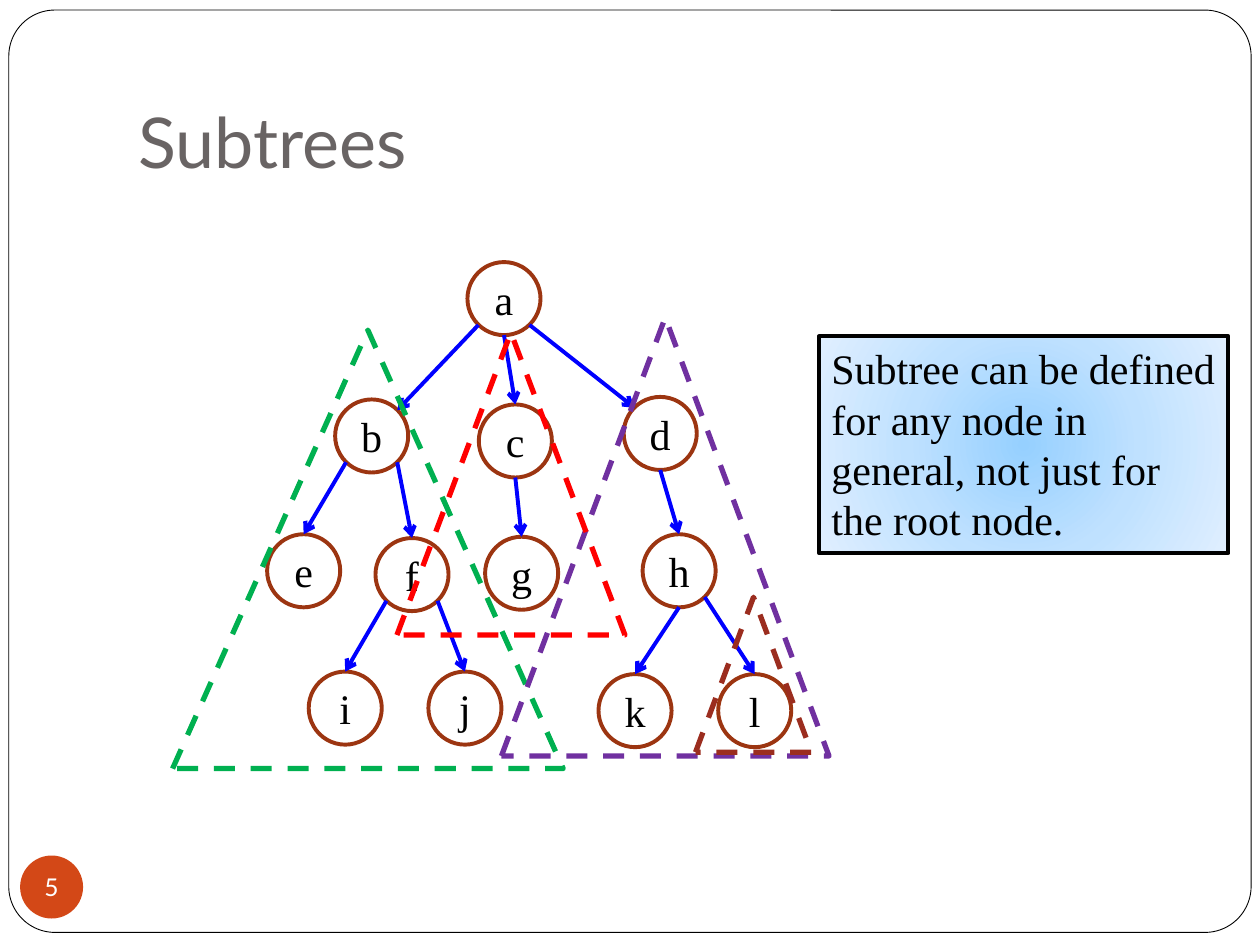
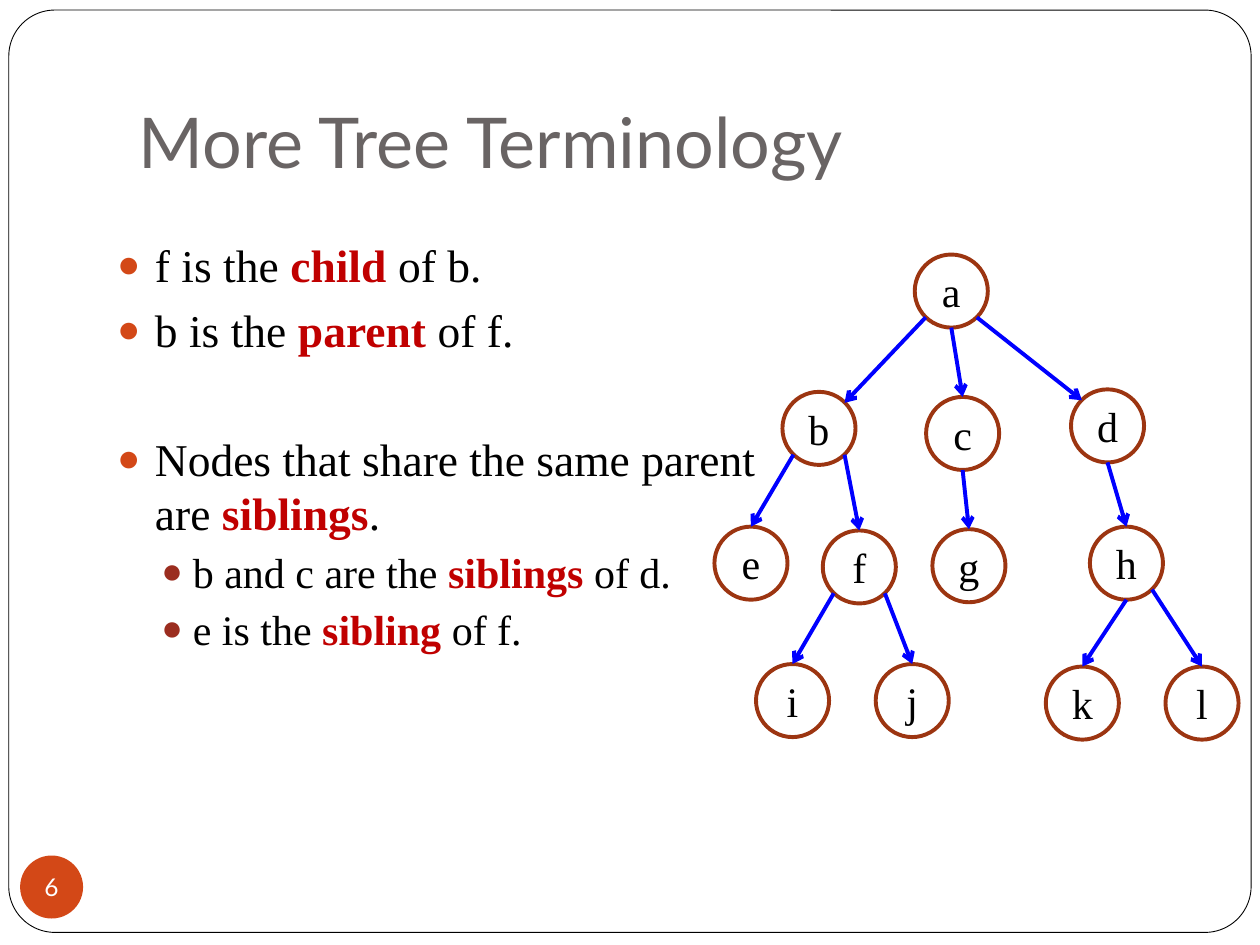
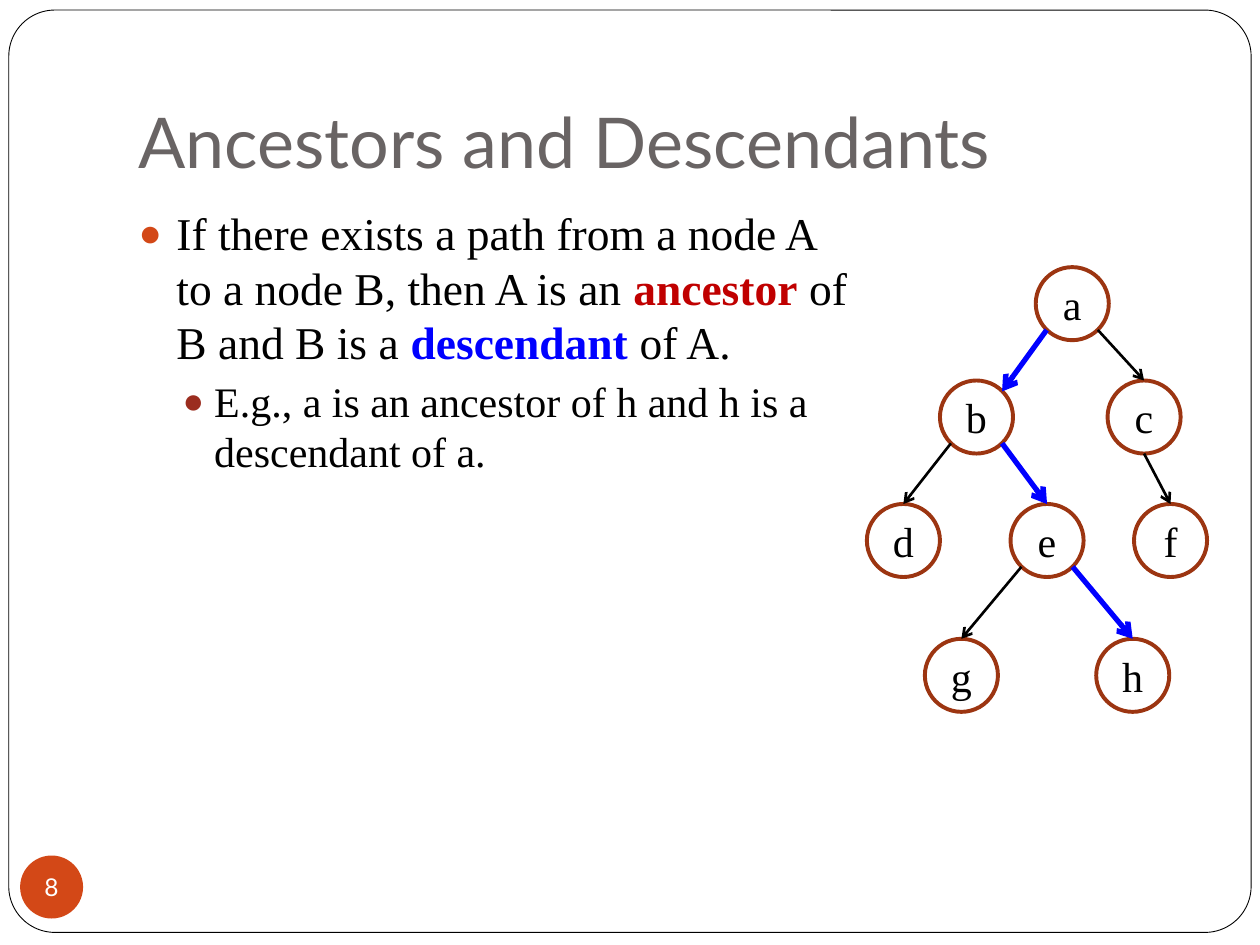
import pptx
import pptx.util
import pptx.dml.color
import pptx.enum.dml
import pptx.enum.shapes
import pptx.enum.text
import pptx.oxml
import pptx.oxml.ns
from lxml import etree

RGB = pptx.dml.color.RGBColor
Inches, Pt = pptx.util.Inches, pptx.util.Pt
KIND = pptx.enum.shapes.MSO_SHAPE
ALIGN = pptx.enum.text.PP_ALIGN
ANCHOR = pptx.enum.text.MSO_ANCHOR
qn = pptx.oxml.ns.qn

BLACK = RGB(0, 0, 0)
WHITE = RGB(255, 255, 255)
GRAY = RGB(0x69, 0x64, 0x64)
ORANGE = RGB(0xD3, 0x48, 0x17)
BROWN = RGB(0x9B, 0x2D, 0x1F)
RUST = RGB(0x9C, 0x35, 0x11)
RED = RGB(0xC0, 0, 0)
BLUE = RGB(0, 0, 255)
GREEN = RGB(0, 0xB0, 0x50)
PURPLE = RGB(0x70, 0x30, 0xA0)
BRIGHT = RGB(255, 0, 0)
GLOW = [(0, RGB(0x96, 0xD0, 0xFF)), (50, RGB(0xBF, 0xE1, 0xFF)), (100, RGB(0xE0, 0xEF, 0xFF))]

HEAD, BODY = "Lato", "Times New Roman"
SIZE = 0.58
PORTS = {
    "n": (0.5, 0), "s": (0.5, 1), "sw": (0.15, 0.86),
    "se": (0.85, 0.86), "nw": (0.15, 0.15), "ne": (0.85, 0.15),
}
LEVELS = [
    {"size": 26, "left": 0.3, "hang": 0.3, "gap": 5.8, "dot": ORANGE},
    {"size": 24, "left": 0.6, "hang": 0.25, "gap": 3.7, "dot": BROWN},
]
THIN, MID, THICK = (BLACK, 1.5), (BLUE, 2.25), (BLUE, 3)

WIDE = {
    "nodes": {
        "a": (3.71, 2.08), "b": (2.66, 3.17), "c": (3.8, 3.21), "d": (4.95, 3.15),
        "e": (2.12, 4.24), "f": (2.98, 4.27), "g": (3.85, 4.26), "h": (5.1, 4.24),
        "i": (2.45, 5.33), "j": (3.4, 5.33), "k": (4.75, 5.35), "l": (5.7, 5.35),
    },
    "edges": [
        ("a", "sw", "b", "ne", MID), ("a", "s", "c", "n", MID), ("a", "se", "d", "nw", MID),
        ("b", "sw", "e", "n", MID), ("b", "se", "f", "n", MID), ("c", "s", "g", "n", MID),
        ("d", "s", "h", "n", MID), ("f", "sw", "i", "n", MID), ("f", "se", "j", "n", MID),
        ("h", "s", "k", "n", MID), ("h", "se", "l", "n", MID),
    ],
}
SMALL = {
    "nodes": {
        "a": (8.22, 2.12), "b": (7.46, 3.02), "c": (8.79, 3.02), "d": (6.88, 4),
        "e": (8.02, 4), "f": (9, 4), "g": (7.34, 5.07), "h": (8.7, 5.07),
    },
    "edges": [
        ("a", "sw", "b", "ne", THICK), ("a", "se", "c", "n", THIN),
        ("b", "sw", "d", "n", THIN), ("b", "se", "e", "n", THICK),
        ("c", "s", "f", "n", THIN), ("e", "sw", "g", "n", THIN),
        ("e", "se", "h", "n", THICK),
    ],
}
SLIDES = [
    {
        "title": "Subtrees", "page": "5", "tree": WIDE, "shift": (0, 0),
        "areas": [
            ((1.37, 2.62, 3.1, 3.48), GREEN), ((3.98, 2.52, 2.6, 3.48), PURPLE),
            ((3.15, 2.64, 1.81, 2.4), BRIGHT), ((5.52, 4.74, 0.92, 1.23), BROWN),
        ],
        "note": "Subtree can be defined for any node in general, not just for the root node.",
    },
    {
        "title": "More Tree Terminology", "page": "6", "tree": WIDE, "shift": (3.55, -0.06),
        "box": (0.83, 1.83, 5.33, 5),
        "list": [
            (0, 0, [("f is the ", None), ("child ", RED), ("of b.", None)]),
            (0, 0, [("b is the ", None), ("parent", RED), (" of f.", None)]),
            (0, 36.8, [("Nodes that share the same parent are ", None),
                       ("siblings", RED), (".", None)]),
            (1, 0, [("b and c are the ", None), ("siblings", RED), (" of d.", None)]),
            (1, 0, [("e is the ", None), ("sibling", RED), (" of f.", None)]),
        ],
    },
    {
        "title": "Ancestors and Descendants", "page": "8", "tree": SMALL, "shift": (0, 0),
        "box": (1, 1.58, 5.88, 5),
        "list": [
            (0, 0, [("If there exists a path from a node A to a node B, then A is an ", None),
                    ("ancestor", RED), (" of B and B is a ", None),
                    ("descendant", BLUE), (" of A.", None)]),
            (1, 0, [("E.g., a is an ancestor of h and h is a descendant of a.", None)]),
        ],
    },
]


def place(shape, box):
    shape.left, shape.top, shape.width, shape.height = map(Inches, box)


def style(font, name, size, color, bold=False):
    font.name, font.size, font.bold = name, Pt(size), bold
    font.color.rgb = color


def inset(frame, *sides):
    (frame.margin_left, frame.margin_top,
     frame.margin_right, frame.margin_bottom) = map(Inches, sides)


def draw(shapes, kind, box, line=None, width=1, fill=None):
    shape = shapes.add_shape(kind, *map(Inches, box))
    shape.shadow.inherit = False
    if fill is None:
        shape.fill.background()
    else:
        shape.fill.solid()
        shape.fill.fore_color.rgb = fill
    if line is None:
        shape.line.fill.background()
    else:
        shape.line.color.rgb = line
        shape.line.width = Pt(width)
    return shape


def label(shape, text, name, size, color):
    frame = shape.text_frame
    inset(frame, 0, 0, 0, 0)
    frame.word_wrap = False
    frame.vertical_anchor = ANCHOR.MIDDLE
    frame.text = text
    para = frame.paragraphs[0]
    para.alignment = ALIGN.CENTER
    style(para.runs[0].font, name, size, color)


def arrow(shapes, start, end, color, width):
    line = shapes.add_connector(
        pptx.enum.shapes.MSO_CONNECTOR.STRAIGHT, *map(Inches, start + end))
    line.line.color.rgb = color
    line.line.width = Pt(width)
    props = line._element.spPr
    etree.SubElement(props.find(qn("a:ln")), qn("a:tailEnd"), type="arrow")
    etree.SubElement(props, qn("a:effectLst"))


def add_tree(slide, tree, shift):
    shapes = slide.shapes.add_group_shape().shapes
    spots = {name: (x + shift[0], y + shift[1]) for name, (x, y) in tree["nodes"].items()}

    def port(name, side):
        return tuple(p + SIZE * q for p, q in zip(spots[name], PORTS[side]))

    for name, spot in spots.items():
        node = draw(shapes, KIND.OVAL, spot + (SIZE, SIZE), RUST, 2.25)
        label(node, name, BODY, 24, BLACK)
    for top, out, low, into, look in tree["edges"]:
        arrow(shapes, port(top, out), port(low, into), *look)


def bullet(para, level):
    props = para._p.get_or_add_pPr()
    props.set("marL", str(Inches(level["left"])))
    props.set("indent", str(-Inches(level["hang"])))
    tint = etree.SubElement(props, qn("a:buClr"))
    etree.SubElement(tint, qn("a:srgbClr"), val=str(level["dot"]))
    etree.SubElement(props, qn("a:buSzPct"), val="85000")
    etree.SubElement(props, qn("a:buChar"), char="●")


def add_list(slide, box, items):
    body = slide.placeholders[1]
    place(body, box)
    frame = body.text_frame
    frame.auto_size = pptx.enum.text.MSO_AUTO_SIZE.NONE
    for i, (depth, extra, parts) in enumerate(items):
        para = frame.add_paragraph() if i else frame.paragraphs[0]
        level = LEVELS[depth]
        para.level = depth
        bullet(para, level)
        para.space_before = Pt(level["gap"] + extra if i else 0)
        for text, color in parts:
            run = para.add_run()
            run.text = text
            style(run.font, BODY, level["size"], color or BLACK, color is not None)


def add_note(slide, text):
    note = draw(slide.shapes, KIND.RECTANGLE, (6.5, 2.67, 3.25, 1.72), BLACK, 2.25, WHITE)
    props = note._element.spPr
    stops = "".join(
        f'<a:gs pos="{pos * 1000}"><a:srgbClr val="{color}"/></a:gs>' for pos, color in GLOW)
    glow = pptx.oxml.parse_xml(
        f'<a:gradFill {pptx.oxml.ns.nsdecls("a")}><a:gsLst>{stops}</a:gsLst>'
        '<a:path path="circle"><a:fillToRect l="50000" t="50000" r="50000" b="50000"/>'
        '</a:path></a:gradFill>')
    props.replace(props.find(qn("a:solidFill")), glow)
    frame = note.text_frame
    frame.word_wrap = True
    frame.vertical_anchor = ANCHOR.TOP
    frame.text = text
    para = frame.paragraphs[0]
    para.alignment = ALIGN.LEFT
    style(para.runs[0].font, BODY, 24, BLACK)


def add_base(slide, title, page):
    frame = draw(slide.shapes, KIND.ROUNDED_RECTANGLE, (0.07, 0.08, 9.86, 7.32), BLACK, 0.5)
    frame.adjustments[0] = 0.05
    head = slide.shapes.title
    place(head, (1, 0.3, 8.5, 1.25))
    text = head.text_frame
    text.auto_size = pptx.enum.text.MSO_AUTO_SIZE.NONE
    text.vertical_anchor = ANCHOR.BOTTOM
    inset(text, 0.1, 0.05, 0.1, 0.1)
    text.text = title
    text.paragraphs[0].alignment = ALIGN.LEFT
    style(text.paragraphs[0].runs[0].font, HEAD, 40, GRAY)
    badge = draw(slide.shapes, KIND.OVAL, (0.16, 6.79, 0.5, 0.5), fill=ORANGE)
    label(badge, page, HEAD, 14, WHITE)


def main():
    deck = pptx.Presentation()
    deck.slide_width, deck.slide_height = Inches(10), Inches(7.5)
    for data in SLIDES:
        slide = deck.slides.add_slide(deck.slide_layouts[1 if "list" in data else 5])
        add_base(slide, data["title"], data["page"])
        if "list" in data:
            add_list(slide, data["box"], data["list"])
        add_tree(slide, data["tree"], data["shift"])
        for box, color in data.get("areas", []):
            area = draw(slide.shapes, KIND.ISOSCELES_TRIANGLE, box, color, 3)
            area.line.dash_style = pptx.enum.dml.MSO_LINE.DASH
        if "note" in data:
            add_note(slide, data["note"])
    deck.save("out.pptx")


if __name__ == "__main__":
    main()
